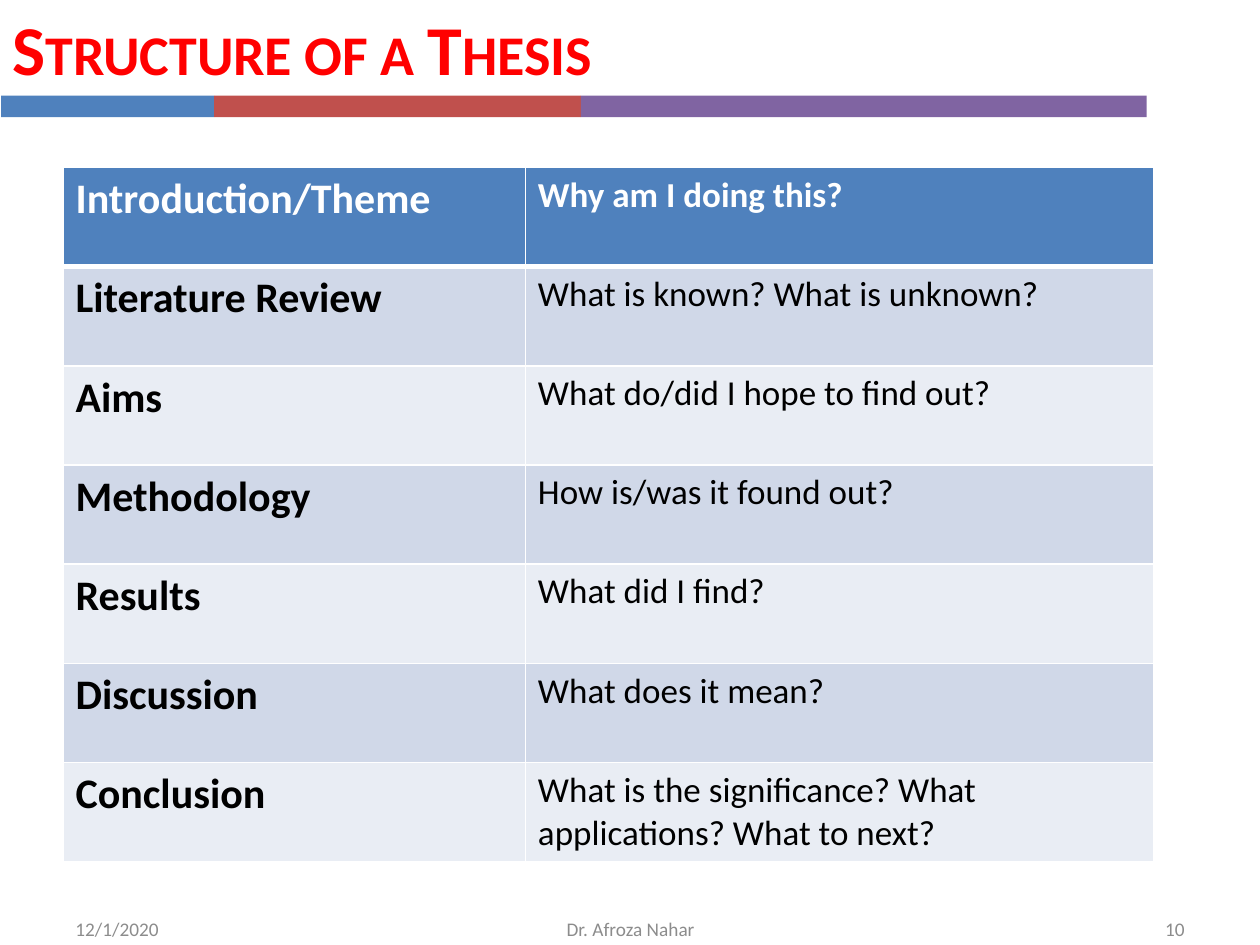
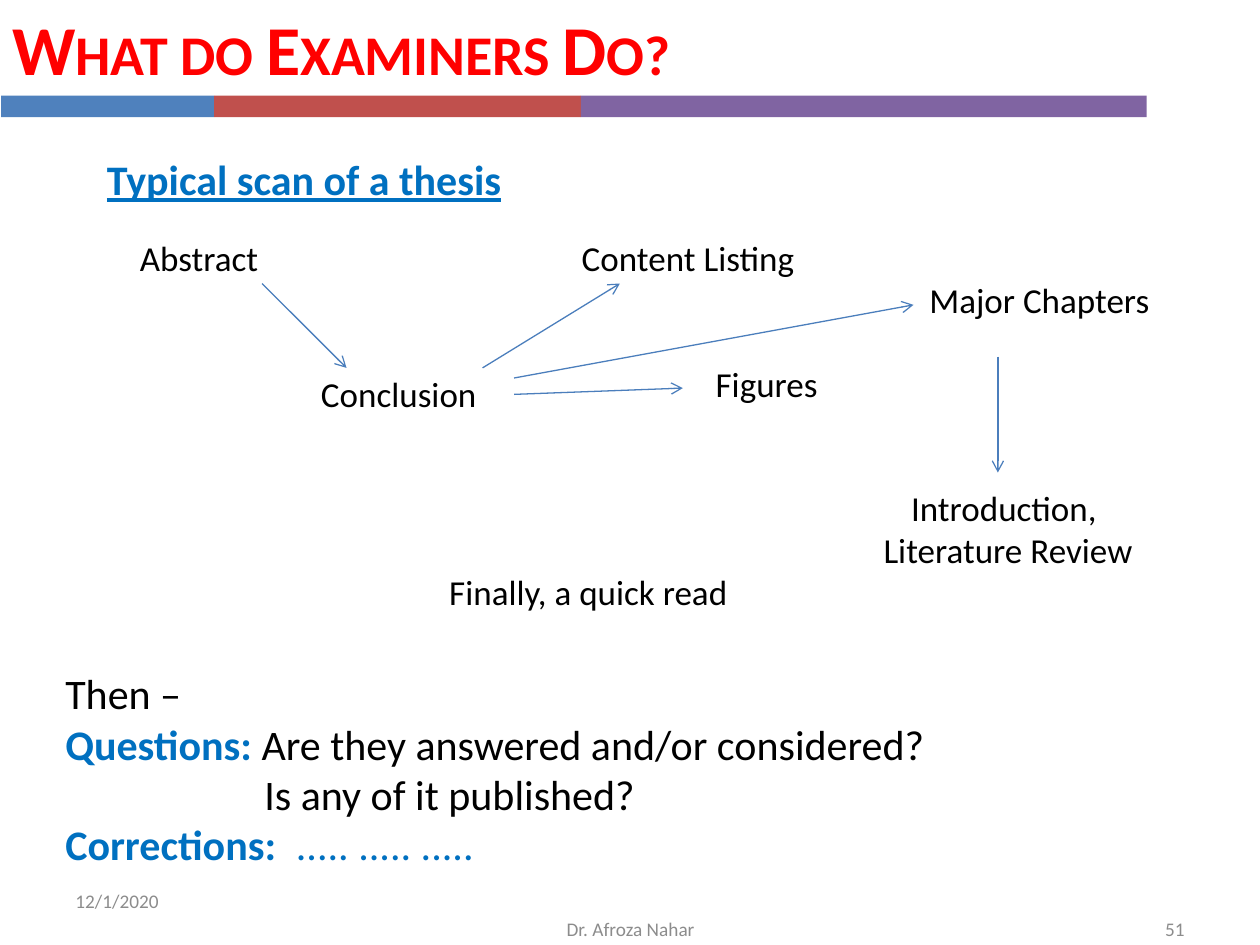
from dataclasses import dataclass

import pptx
import pptx.dml.color
import pptx.enum.shapes
import pptx.enum.text
import pptx.oxml
import pptx.oxml.ns
import pptx.util
from pptx.util import Inches

ALIGN = pptx.enum.text.PP_ALIGN
MIDDLE = pptx.enum.text.MSO_ANCHOR.MIDDLE
TOP = pptx.enum.text.MSO_ANCHOR.TOP
NAMESPACE = pptx.oxml.ns.nsdecls("a")


@dataclass(frozen=True)
class Theme:
    font: str = "Calibri"
    title_red: str = "FF0000"
    blue: str = "4F81BD"
    brick: str = "C0504D"
    purple: str = "8064A2"
    accent: str = "0070C0"
    arrow: str = "4B7EBC"
    black: str = "000000"
    white: str = "FFFFFF"
    grey: str = "8C8C8C"
    dark_row: str = "D0D8E8"
    light_row: str = "E9EDF4"
    title_size: int = 40
    large: int = 24
    medium: int = 20
    small: int = 11


THEME = Theme()


@dataclass(frozen=True)
class Box:
    left: float
    top: float
    width: float
    height: float

    def lengths(self) -> list:
        return [Inches(v) for v in (self.left, self.top, self.width, self.height)]


@dataclass(frozen=True)
class Label:
    text: str
    box: Box
    size: int = THEME.medium
    color: str = THEME.black
    align: ALIGN = ALIGN.CENTER
    anchor: pptx.enum.text.MSO_ANCHOR = TOP
    bold: bool = False
    underline: bool = False


@dataclass(frozen=True)
class Arrow:
    x1: float
    y1: float
    x2: float
    y2: float


@dataclass(frozen=True)
class Remark:
    lead: str
    rest: str
    rest_color: str = THEME.black
    indent: float = 0
    tab: float = 0


BAND = [(0.01, 1.69, THEME.blue), (1.7, 2.91, THEME.brick), (4.61, 4.49, THEME.purple)]

THESIS_PARTS = [
    ("Introduction/Theme", "Why am I doing this?"),
    ("Literature Review", "What is known? What is unknown?"),
    ("Aims", "What do/did I hope to find out?"),
    ("Methodology", "How is/was it found out?"),
    ("Results", "What did I find?"),
    ("Discussion", "What does it mean?"),
    ("Conclusion", "What is the significance? What applications? What to next?"),
]

SCAN_STEPS = [
    Label("Typical scan of a thesis", Box(0.75, 1.17, 3.42, 0.5), THEME.large,
          THEME.accent, ALIGN.LEFT, bold=True, underline=True),
    Label("Abstract", Box(0.83, 1.83, 1.5, 0.44)),
    Label("Conclusion", Box(2.25, 2.91, 1.83, 0.44)),
    Label("Content Listing", Box(4.25, 1.83, 2.42, 0.44)),
    Label("Figures", Box(5.17, 2.83, 1.83, 0.44)),
    Label("Major Chapters", Box(7, 2.16, 2.5, 0.44)),
    Label("Introduction, \nLiterature Review", Box(6.75, 3.81, 2.5, 0.77)),
    Label("Finally, a quick read", Box(3.42, 4.48, 2.5, 0.44)),
]

SCAN_ARROWS = [
    Arrow(2.08, 2.25, 2.75, 2.92),
    Arrow(3.83, 2.92, 4.92, 2.25),
    Arrow(4.08, 3.13, 5.42, 3.08),
    Arrow(4.08, 3, 7.25, 2.42),
    Arrow(7.92, 2.83, 7.92, 3.75),
]

REMARKS = [
    Remark("", "Then –"),
    Remark("Questions: ", "Are they answered and/or considered?"),
    Remark("", "Is any of it published?", indent=1.58),
    Remark("Corrections:", "\t..... ..... .....", THEME.accent, tab=1.83),
]


def rgb(color: str) -> pptx.dml.color.RGBColor:
    return pptx.dml.color.RGBColor.from_string(color)


def style(paragraph, size: int, color: str, bold: bool = False) -> None:
    font = paragraph.font
    font.name = THEME.font
    font.size = pptx.util.Pt(size)
    font.bold = bold
    font.color.rgb = rgb(color)


def add_frame(slide, box: Box, anchor=TOP):
    frame = slide.shapes.add_textbox(*box.lengths()).text_frame
    frame.word_wrap = True
    frame.vertical_anchor = anchor
    return frame


def add_label(slide, label: Label):
    frame = add_frame(slide, label.box, label.anchor)
    frame.text = label.text
    for paragraph in frame.paragraphs:
        paragraph.alignment = label.align
        style(paragraph, label.size, label.color, label.bold)
        if label.underline:
            paragraph.font.underline = True
    return frame


def add_arrow(slide, arrow: Arrow) -> None:
    ends = [Inches(v) for v in (arrow.x1, arrow.y1, arrow.x2, arrow.y2)]
    connector = slide.shapes.add_connector(pptx.enum.shapes.MSO_CONNECTOR.STRAIGHT, *ends)
    connector.line.color.rgb = rgb(THEME.arrow)
    connector.line.width = pptx.util.Pt(0.75)
    properties = connector._element.spPr
    properties.find(pptx.oxml.ns.qn("a:ln")).append(
        pptx.oxml.parse_xml(f'<a:tailEnd {NAMESPACE} type="arrow"/>'))
    properties.append(pptx.oxml.parse_xml(f"<a:effectLst {NAMESPACE}/>"))


def add_base_slide(deck, title: str, number: int, date_top: float):
    slide = deck.slides.add_slide(deck.slide_layouts[6])
    for left, width, color in BAND:
        stripe = slide.shapes.add_shape(pptx.enum.shapes.MSO_SHAPE.RECTANGLE,
                                        *Box(left, 0.76, width, 0.17).lengths())
        stripe.shadow.inherit = False
        stripe.fill.solid()
        stripe.fill.fore_color.rgb = rgb(color)
        stripe.line.fill.background()

    heading = add_label(slide, Label(title, Box(0, 0, 9.1, 0.76), THEME.title_size,
                                     THEME.title_red, ALIGN.LEFT, MIDDLE, True)).paragraphs[0]
    heading.space_before = pptx.util.Pt(8)
    heading.runs[0]._r.get_or_add_rPr().set("cap", "small")

    for text, left, top, width, align in (
        ("12/1/2020", 0.5, date_top, 2.33, ALIGN.LEFT),
        ("Dr. Afroza Nahar", 3.42, 7.17, 3.17, ALIGN.CENTER),
        (str(number), 7.17, 7.17, 2.33, ALIGN.RIGHT),
    ):
        add_label(slide, Label(text, Box(left, top, width, 0.4), THEME.small,
                               THEME.grey, align, MIDDLE))
    return slide


def add_borders(cell, top: float, bottom: float) -> None:
    properties = cell._tc.get_or_add_tcPr()
    for side, points in (("L", 1), ("R", 1), ("T", top), ("B", bottom)):
        properties.append(pptx.oxml.parse_xml(
            f'<a:ln{side} {NAMESPACE} w="{pptx.util.Pt(points)}"><a:solidFill>'
            f'<a:srgbClr val="{THEME.white}"/></a:solidFill></a:ln{side}>'))


def add_thesis_table(slide) -> None:
    table = slide.shapes.add_table(len(THESIS_PARTS), 2,
                                   *Box(0.5, 1.33, 8.66, 5.51).lengths()).table
    table.first_row = False
    table.horz_banding = False
    for column, width in zip(table.columns, (3.67, 4.99)):
        column.width = Inches(width)
    for row, texts in enumerate(THESIS_PARTS):
        header = row == 0
        fill = THEME.blue if header else (THEME.light_row, THEME.dark_row)[row % 2]
        for column, text in enumerate(texts):
            cell = table.cell(row, column)
            add_borders(cell, 3 if row == 1 else 1, 3 if header else 1)
            cell.fill.solid()
            cell.fill.fore_color.rgb = rgb(fill)
            cell.text = text
            style(cell.text_frame.paragraphs[0],
                  THEME.medium if column else THEME.large,
                  THEME.white if header else THEME.black,
                  header or column == 0)


def add_remarks(slide) -> None:
    frame = add_frame(slide, Box(0.42, 5.25, 9.17, 2))
    for index, remark in enumerate(REMARKS):
        paragraph = frame.add_paragraph() if index else frame.paragraphs[0]
        properties = paragraph._p.get_or_add_pPr()
        if remark.indent:
            properties.set("marL", str(Inches(remark.indent)))
            properties.set("indent", "0")
        if remark.tab:
            properties.append(pptx.oxml.parse_xml(
                f'<a:tabLst {NAMESPACE}><a:tab pos="{Inches(remark.tab)}" algn="l"/></a:tabLst>'))
        style(paragraph, THEME.large, remark.rest_color)
        if remark.lead:
            lead = paragraph.add_run()
            lead.text = remark.lead
            lead.font.bold = True
            lead.font.color.rgb = rgb(THEME.accent)
        paragraph.add_run().text = remark.rest


def main() -> None:
    deck = pptx.Presentation()
    deck.slide_width = Inches(10)
    deck.slide_height = Inches(7.5)

    structure = add_base_slide(deck, "Structure of a Thesis", 10, 7.17)
    add_thesis_table(structure)

    examiners = add_base_slide(deck, "What do Examiners Do?", 51, 6.95)
    for step in SCAN_STEPS:
        add_label(examiners, step)
    add_remarks(examiners)
    for arrow in SCAN_ARROWS:
        add_arrow(examiners, arrow)

    deck.save("out.pptx")


if __name__ == "__main__":
    main()
